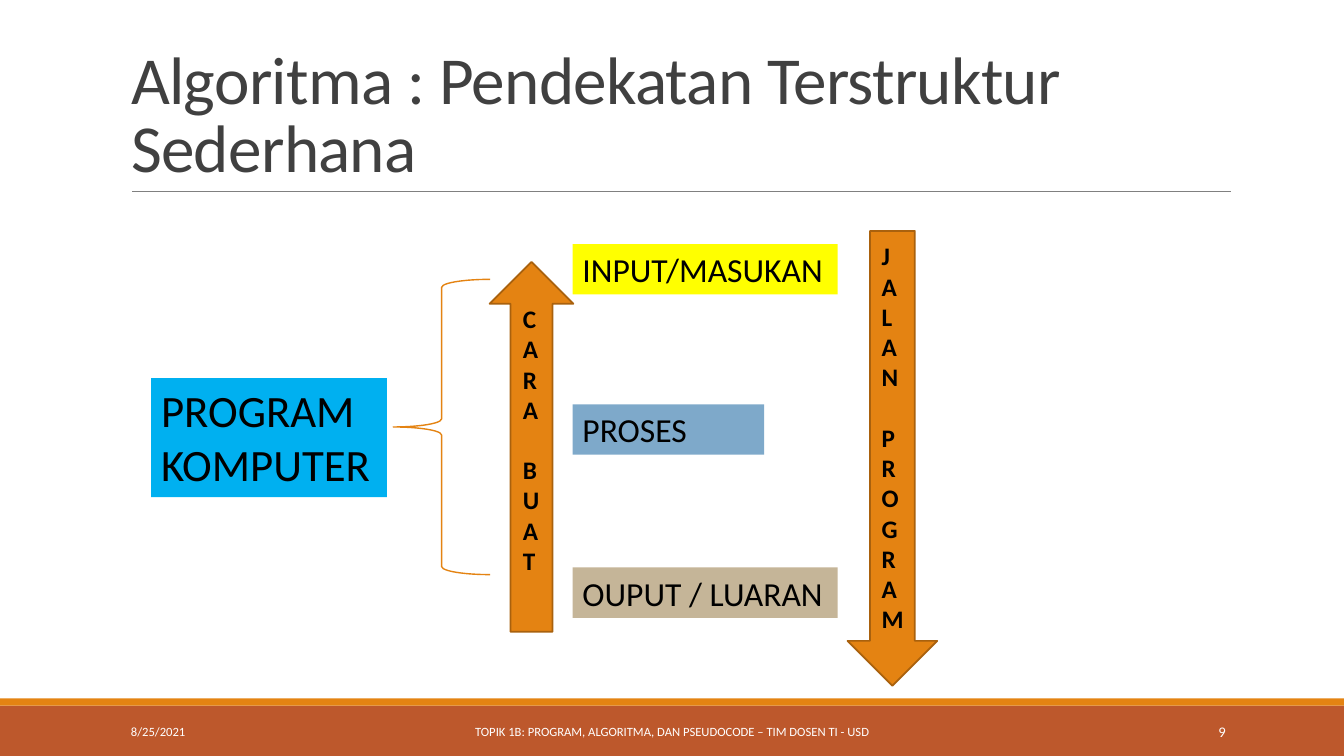
from pptx import Presentation
from pptx.dml.color import RGBColor
from pptx.enum.shapes import MSO_CONNECTOR, MSO_SHAPE
from pptx.enum.text import MSO_ANCHOR, MSO_AUTO_SIZE, PP_ALIGN
from pptx.oxml.ns import qn
from pptx.util import Cm, Pt
from lxml import etree

RECT, BRACE = MSO_SHAPE.RECTANGLE, MSO_SHAPE.LEFT_BRACE
UP, DOWN = MSO_SHAPE.UP_ARROW, MSO_SHAPE.DOWN_ARROW
LEFT, MID, RIGHT = PP_ALIGN.LEFT, PP_ALIGN.CENTER, PP_ALIGN.RIGHT
TOP, CENTER, BOTTOM = MSO_ANCHOR.TOP, MSO_ANCHOR.MIDDLE, MSO_ANCHOR.BOTTOM

BLACK = RGBColor(0x00, 0x00, 0x00)
WHITE = RGBColor(0xFF, 0xFF, 0xFF)
DARK = RGBColor(0x40, 0x40, 0x40)
GRAY = RGBColor(0x80, 0x80, 0x80)
RUST = RGBColor(0xBD, 0x58, 0x2C)
ORANGE = RGBColor(0xE4, 0x83, 0x12)
BROWN = RGBColor(0xA9, 0x61, 0x0D)
CYAN = RGBColor(0x00, 0xB0, 0xF0)
YELLOW = RGBColor(0xFF, 0xFF, 0x00)
BLUE = RGBColor(0x7E, 0xA9, 0xCA)
SAND = RGBColor(0xC5, 0xB5, 0x98)


def write(shape, text, size=18, color=BLACK, bold=False, align=LEFT, anchor=TOP):
    frame = shape.text_frame
    frame.text = text
    frame.word_wrap = True
    frame.auto_size = MSO_AUTO_SIZE.NONE
    frame.vertical_anchor = anchor
    for para in frame.paragraphs:
        para.alignment = align
        font = para.runs[0].font
        font.name, font.size, font.bold = "Calibri", Pt(size), bold
        font.color.rgb = color
    return frame


def draw(kind, box, fill=None, line=None, width=1):
    shape = slide.shapes.add_shape(kind, *map(Cm, box))
    shape.shadow.inherit = False
    if fill is None:
        shape.fill.background()
    else:
        shape.fill.solid()
        shape.fill.fore_color.rgb = fill
    if line is None:
        shape.line.fill.background()
    else:
        shape.line.color.rgb = line
        shape.line.width = Pt(width)
    return shape


deck = Presentation()
deck.slide_width, deck.slide_height = Cm(33.87), Cm(19.05)
slide = deck.slides.add_slide(deck.slide_layouts[5])

draw(RECT, (0, 17.78, 33.87, 1.27), RUST)
draw(RECT, (0, 17.6, 33.87, 0.18), ORANGE)
rule = slide.shapes.add_connector(
    MSO_CONNECTOR.STRAIGHT, Cm(3.33), Cm(4.83), Cm(31.01), Cm(4.83))
rule.line.color.rgb = GRAY
rule.line.width = Pt(0.5)
etree.SubElement(rule.element.spPr, qn("a:effectLst"))

title = slide.shapes.title
title.left, title.top, title.width, title.height = map(Cm, (3.05, 0.79, 27.94, 4.04))
frame = write(title, "Algoritma : Pendekatan Terstruktur Sederhana",
              size=48, color=DARK, anchor=BOTTOM)
head = frame.paragraphs[0]
head.line_spacing = 0.85
head.runs[0].font.element.set("spc", "-50") if hasattr(head.runs[0].font, "element") else \
    head.runs[0]._r.get_or_add_rPr().set("spc", "-50")

for left, width, text, size, align in (
    (3.05, 6.86, "8/25/2021", 9, LEFT),
    (10.24, 13.39, "TOPIK 1B: PROGRAM, ALGORITMA, DAN PSEUDOCODE – TIM DOSEN TI - USD", 9, MID),
    (27.51, 3.63, "9", 10.5, RIGHT),
):
    foot = slide.shapes.add_textbox(Cm(left), Cm(17.93), Cm(width), Cm(1.02))
    write(foot, text, size=size, color=WHITE, align=align, anchor=CENTER)

for box, text, size, fill in (
    ((3.81, 9.53, 5.94, 3), "PROGRAM KOMPUTER", 32, CYAN),
    ((14.43, 6.15, 6.68, 1.27), "INPUT/MASUKAN", 24, YELLOW),
    ((14.43, 10.19, 4.83, 1.27), "PROSES", 24, BLUE),
    ((14.43, 14.3, 6.68, 1.27), "OUPUT / LUARAN", 24, SAND),
):
    write(draw(RECT, box, fill), text, size=size)

draw(BRACE, (9.91, 7.04, 2.44, 7.44), line=ORANGE)

for kind, box, first, second, place in (
    (UP, (12.34, 6.6, 2.11, 9.32), "CARA", "BUAT", (12.93, 7.52, 1.09, 7.19)),
    (DOWN, (21.36, 5.82, 2.26, 11.46), "JALAN", "PROGRAM", (21.97, 5.94, 1.07, 10.26)),
):
    draw(kind, box, ORANGE, BROWN, 1.25)
    label = slide.shapes.add_textbox(*map(Cm, place))
    frame = write(label, "\n".join(first + second), bold=True)
    frame.paragraphs[len(first)].space_before = Pt(21.6)

deck.save("out.pptx")
